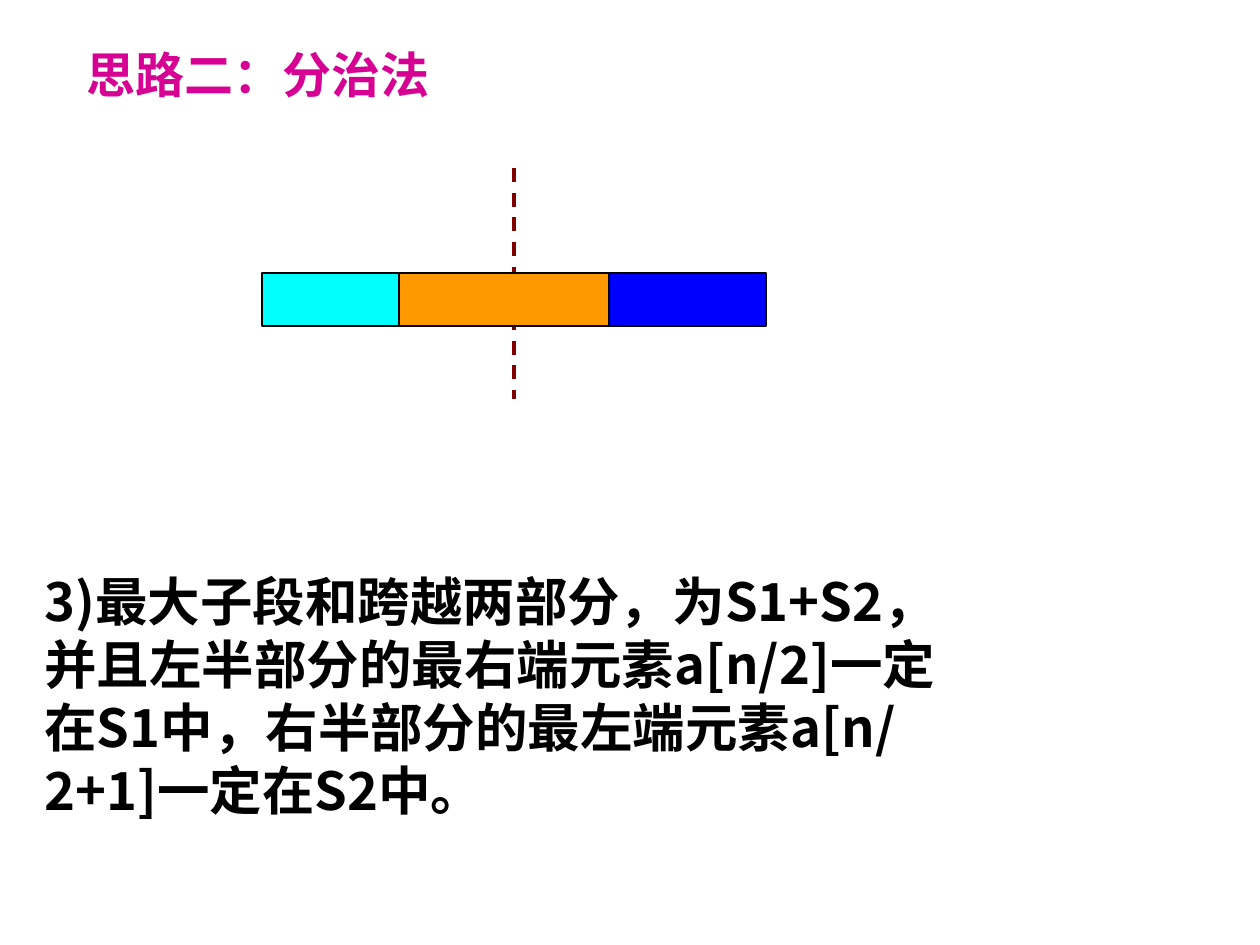
from lxml.etree import SubElement
from pptx import Presentation
from pptx.dml.color import RGBColor
from pptx.enum.dml import MSO_LINE_DASH_STYLE as Dash
from pptx.enum.shapes import MSO_CONNECTOR as Connector, MSO_SHAPE as Shape
from pptx.enum.text import MSO_ANCHOR as Anchor, PP_ALIGN as Align
from pptx.oxml.ns import qn
from pptx.util import Pt

PX = 914400 // 126
BLACK = RGBColor(0, 0, 0)
MAGENTA = RGBColor(0xD6, 0, 0x93)
MAROON = RGBColor(0x80, 0, 0)
CYAN = RGBColor(0, 0xFF, 0xFF)
BLUE = RGBColor(0, 0, 0xFF)
ORANGE = RGBColor(0xFF, 0x99, 0)
CJK_FONT = "Noto Sans CJK SC"

TITLE = "思路二：分治法"
CASE_THREE = ("3)最大子段和跨越两部分，为S1+S2，并且左半部分的最右端元素a[n/2]一定在S1中，"
              "右半部分的最左端元素a[n/2+1]一定在S2中。")

MIDDLE, HALF = 514, 252
BAR_TOP, BAR_HEIGHT = 273, 53
SEGMENTS = [  # left, width, colour; the crossing segment lies on both halves
    (MIDDLE - HALF, HALF, CYAN),
    (MIDDLE, HALF, BLUE),
    (399, 210, ORANGE),
]
DIVIDER_TOP, DIVIDER_BOTTOM = 168, 399


def place(shape, left, top, width, height):
    shape.left, shape.top = left * PX, top * PX
    shape.width, shape.height = width * PX, height * PX


def write(shape, text, *, size, color, font, wrap=True):
    frame = shape.text_frame
    frame.word_wrap = wrap
    frame.vertical_anchor = Anchor.TOP
    paragraph = frame.paragraphs[0]
    paragraph.alignment = Align.LEFT
    run = paragraph.add_run()
    run.text = text
    run.font.size = Pt(size)
    run.font.bold = True
    run.font.color.rgb = color
    run.font.name = font
    SubElement(run.font._element, qn("a:ea")).set("typeface", CJK_FONT)


def add_segment(slide, left, width, color):
    segment = slide.shapes.add_shape(
        Shape.RECTANGLE, left * PX, BAR_TOP * PX, width * PX, BAR_HEIGHT * PX)
    segment.shadow.inherit = False
    segment.fill.solid()
    segment.fill.fore_color.rgb = color
    segment.line.color.rgb = BLACK
    segment.line.width = Pt(0.75)


def add_divider(slide):
    divider = slide.shapes.add_connector(
        Connector.STRAIGHT, MIDDLE * PX, DIVIDER_TOP * PX, MIDDLE * PX, DIVIDER_BOTTOM * PX)
    divider.line.color.rgb = MAROON
    divider.line.width = Pt(2)
    divider.line.dash_style = Dash.DASH
    SubElement(divider._element.spPr, qn("a:effectLst"))


def main():
    deck = Presentation()
    deck.slide_width, deck.slide_height = 1260 * PX, 945 * PX
    slide = deck.slides.add_slide(deck.slide_layouts[5])

    title = slide.shapes.title
    place(title, 74, 38, 370, 72)
    write(title, TITLE, size=28, color=MAGENTA, font="Arial", wrap=False)

    add_divider(slide)
    for left, width, color in SEGMENTS:
        add_segment(slide, left, width, color)

    explanation = slide.shapes.add_textbox(0, 0, 0, 0)
    place(explanation, 32, 563, 958, 267)
    write(explanation, CASE_THREE, size=30, color=BLACK, font=CJK_FONT)
    deck.save("out.pptx")


if __name__ == "__main__":
    main()
